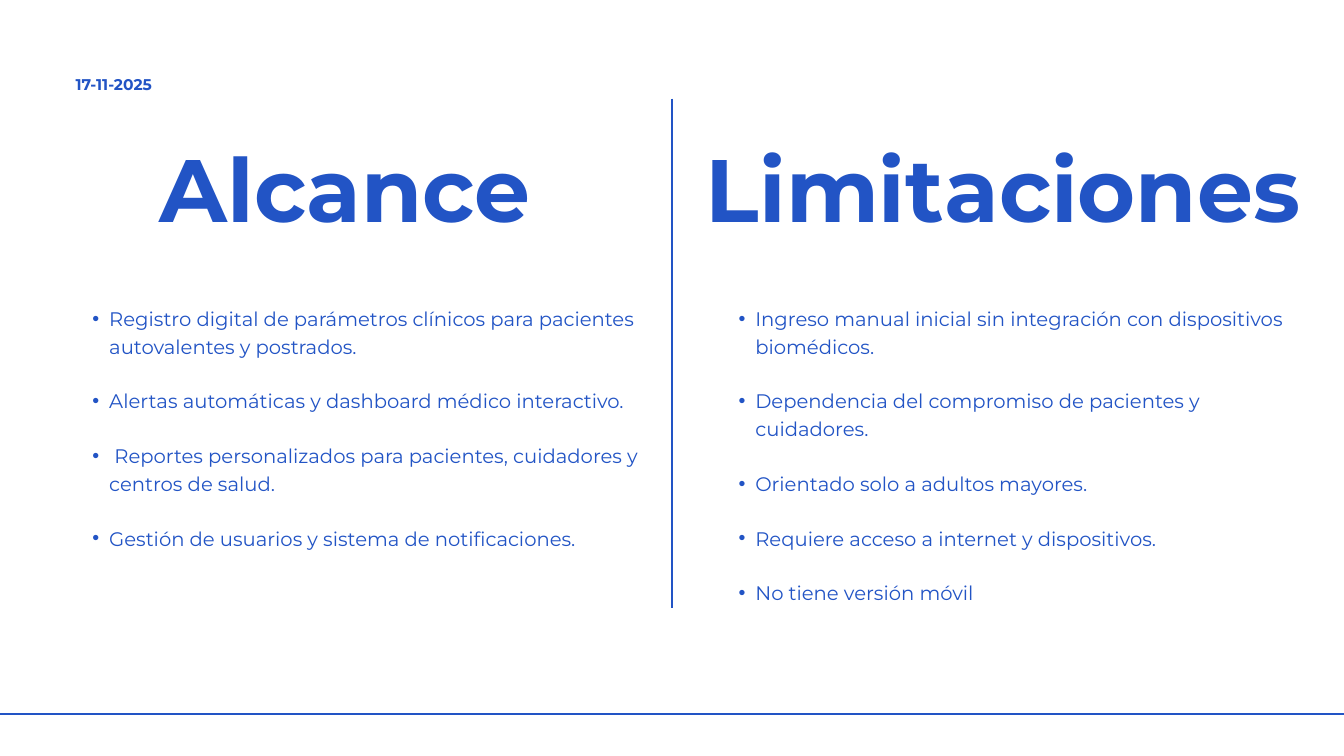
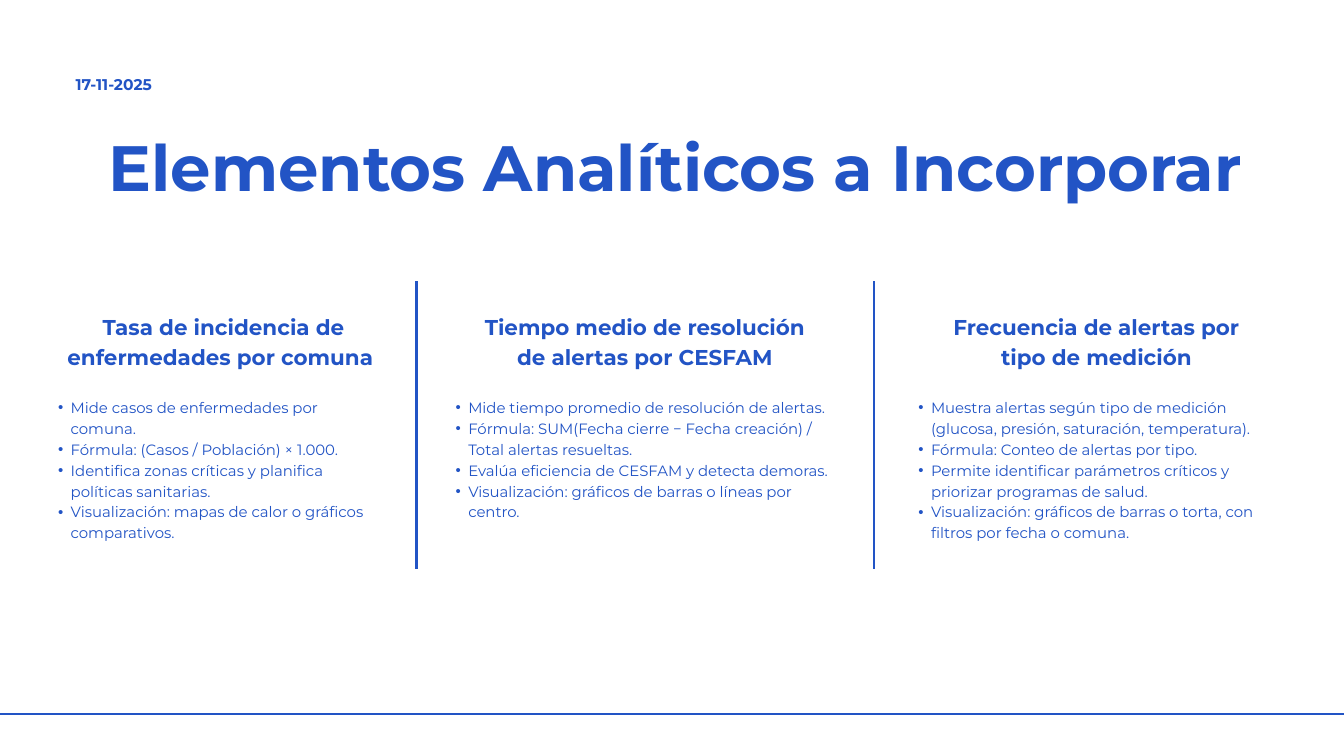
"""Builds two slides on project scope, limitations and analytic elements."""
from lxml import etree
from pptx import Presentation
from pptx.dml.color import RGBColor
from pptx.enum.shapes import MSO_CONNECTOR
from pptx.enum.text import MSO_AUTO_SIZE, PP_ALIGN
from pptx.oxml.ns import qn
from pptx.util import Pt

PX = 9525
W, H = 1920, 1080
BLUE = RGBColor.from_string("2254C5")
WHITE = RGBColor.from_string("FFFFFF")
STRAIGHT = MSO_CONNECTOR.STRAIGHT
GROW = MSO_AUTO_SIZE.SHAPE_TO_FIT_TEXT
LEFT, CENTER = PP_ALIGN.LEFT, PP_ALIGN.CENTER
FONT = "Montserrat"

DATE = {"font": {"name": FONT, "size": Pt(16.6), "bold": True},
        "para": {"alignment": LEFT, "line_spacing": Pt(23.2)}}
HALF_TITLE = {"font": {"name": FONT, "size": Pt(94.9), "bold": True},
              "para": {"alignment": CENTER, "line_spacing": Pt(132.8)}}
TITLE = {"font": {"name": FONT, "size": Pt(68.6), "bold": True},
         "para": {"alignment": LEFT, "line_spacing": Pt(96)}}
HEADING = {"font": {"name": FONT, "size": Pt(23), "bold": True},
           "para": {"alignment": CENTER, "line_spacing": Pt(32.2)}}
HALF_LIST = {"font": {"name": FONT, "size": Pt(21), "bold": False},
             "para": {"level": 1, "line_spacing": Pt(29.4)},
             "indent": 48, "gap": Pt(29.4)}
COLUMN_LIST = {"font": {"name": FONT, "size": Pt(16), "bold": False},
               "para": {"level": 1, "line_spacing": Pt(22.4)},
               "indent": 36, "gap": Pt(0)}


def add_text(s, box, lines, style):
    sp = s.shapes.add_textbox(*[v * PX for v in box])
    tf = sp.text_frame
    for key, value in {"margin_left": 0, "margin_top": 0, "margin_right": 0,
                       "margin_bottom": 0, "word_wrap": True,
                       "auto_size": GROW}.items():
        setattr(tf, key, value)
    for i, line in enumerate(lines):
        p = tf.add_paragraph() if i else tf.paragraphs[0]
        for key, value in style["para"].items():
            setattr(p, key, value)
        if "indent" in style:
            if i:
                p.space_before = style["gap"]
            pPr = p._p.get_or_add_pPr()
            pPr.set("marL", str(style["indent"] * PX))
            pPr.set("indent", str(-style["indent"] * PX // 2))
            etree.SubElement(pPr, qn("a:buFont")).set("typeface", "Arial")
            etree.SubElement(pPr, qn("a:buChar")).set("char", "•")
        r = p.add_run()
        r.text = line
        for key, value in style["font"].items():
            setattr(r.font, key, value)
        r.font.color.rgb = BLUE


def add_line(s, *ends):
    sp = s.shapes.add_connector(STRAIGHT, *[v * PX for v in ends])
    sp.line.color.rgb = BLUE
    sp.line.width = Pt(2.25)
    etree.SubElement(sp._element.spPr, qn("a:effectLst"))


prs = Presentation()
prs.slide_width, prs.slide_height = W * PX, H * PX
slides = [prs.slides.add_slide(prs.slide_layouts[6]) for _ in range(2)]
for s in slides:
    s.background.fill.solid()
    s.background.fill.fore_color.rgb = WHITE
    add_line(s, 0, 1020, W, 1020)
    add_text(s, (108, 103, 195, 29), ["17-11-2025"], DATE)

scope, analytics = slides

halves = [
    ("Alcance ", 218, 586, 108, 389, [
        "Registro digital de parámetros clínicos para pacientes autovalentes y postrados.",
        "Alertas automáticas y dashboard médico interactivo.",
        " Reportes personalizados para pacientes, cuidadores y centros de salud.",
        "Gestión de usuarios y sistema de notificaciones."]),
    ("Limitaciones ", 1006, 854, 1031, 467, [
        "Ingreso manual inicial sin integración con dispositivos biomédicos.",
        "Dependencia del compromiso de pacientes y cuidadores.",
        "Orientado solo a adultos mayores.",
        "Requiere acceso a internet y dispositivos.",
        "No tiene versión móvil"]),
]
for title, title_x, title_w, list_x, list_h, items in halves:
    add_text(scope, (title_x, 166, title_w, 171), [title], HALF_TITLE)
    add_text(scope, (list_x, 433, 805, list_h), items, HALF_LIST)
add_line(scope, W // 2, 141, W // 2, 868)

add_text(analytics, (155, 164, 1658, 124),
         ["Elementos Analíticos a Incorporar"], TITLE)
columns = [
    (" Tasa de incidencia de enfermedades por comuna", 81, 468, 65, 484, 230, [
        "Mide casos de enfermedades por comuna.",
        "Fórmula: (Casos / Población) × 1.000.",
        "Identifica zonas críticas y planifica políticas sanitarias.",
        "Visualización: mapas de calor o gráficos comparativos."]),
    ("Tiempo medio de resolución de alertas por CESFAM", 689, 465, 633, 577, 202, [
        "Mide tiempo promedio de resolución de alertas.",
        "Fórmula: SUM(Fecha cierre − Fecha creación) / Total alertas resueltas.",
        "Evalúa eficiencia de CESFAM y detecta demoras.",
        "Visualización: gráficos de barras o líneas por centro."]),
    ("Frecuencia de alertas por tipo de medición", 1334, 465, 1294, 547, 230, [
        "Muestra alertas según tipo de medición (glucosa, presión, saturación, temperatura).",
        "Fórmula: Conteo de alertas por tipo.",
        "Permite identificar parámetros críticos y priorizar programas de salud.",
        "Visualización: gráficos de barras o torta, con filtros por fecha o comuna."]),
]
for heading, head_x, head_w, list_x, list_w, list_h, items in columns:
    add_text(analytics, (head_x, 442, head_w, 83), [heading], HEADING)
    add_text(analytics, (list_x, 565, list_w, list_h), items, COLUMN_LIST)
for x in (595, 1248):
    add_line(analytics, x, 402, x, 813)

prs.save("out.pptx")
